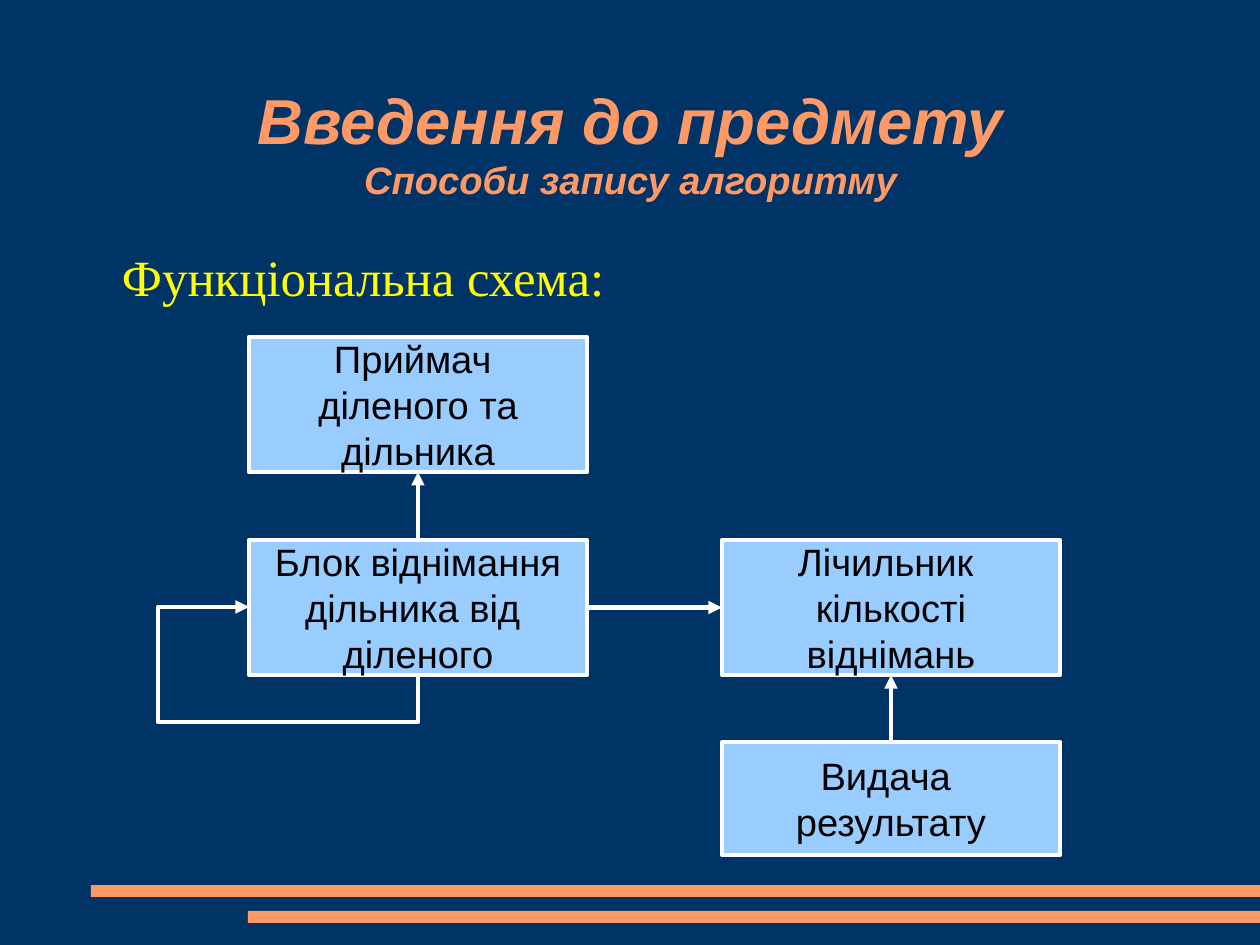
from pptx import Presentation, util as u
from pptx.dml.color import RGBColor
from pptx.enum import shapes as es, text as et
from pptx.oxml.ns import qn
from lxml import etree

PX = 8000
SIZE = (1260, 945)
NAVY, PEACH, SKY = "003366", "FF9966", "99CCFF"
WHITE, BLACK, GOLD = "FFFFFF", "000000", "FFFF00"

TITLE = [("Введення до предмету", 40), ("Способи запису алгоритму", 24)]
HEAD = "Функціональна схема:"
BARS = [(91, 885), (248, 911)]
WIDE = 338
BOXES = {
    "input": (249, 337, 135, ["Приймач ", "діленого та", "дільника"]),
    "minus": (249, 540, 135, ["Блок віднімання", "дільника від ", "діленого"]),
    "count": (722, 540, 135, ["Лічильник ", "кількості", "віднімань"]),
    "output": (722, 742, 113, ["Видача ", "результату"]),
}
LINKS = [("minus", 0, "input", 2), ("minus", 3, "count", 1),
         ("output", 0, "count", 2)]
LOOP = (158, 722)

deck = Presentation()
deck.slide_width, deck.slide_height = [n * PX for n in SIZE]
slide = deck.slides.add_slide(deck.slide_layouts[6])
parts = slide.shapes


def tint(code):
    return RGBColor.from_string(code)


def paint(fill, code):
    fill.solid()
    fill.fore_color.rgb = tint(code)


def write(para, words, size, code, face="Arial", bold=False):
    run = para.add_run()
    run.text = words
    font = run.font
    font.name, font.size = face, u.Pt(size)
    font.bold = font.italic = bold
    font.color.rgb = tint(code)


def frame(shape, anchor, side=0, edge=0):
    area = shape.text_frame
    area.word_wrap = True
    area.vertical_anchor = anchor
    area.margin_left = area.margin_right = side * PX
    area.margin_top = area.margin_bottom = edge * PX
    return area


def label(*place):
    return parts.add_textbox(*[n * PX for n in place])


def block(left, top, wide, high, code):
    shape = parts.add_shape(es.MSO_SHAPE.RECTANGLE,
                            *[n * PX for n in (left, top, wide, high)])
    shape.shadow.inherit = False
    paint(shape.fill, code)
    shape.line.fill.background()
    return shape


def stroke(shape, arrow=False):
    paint(shape.line.fill, WHITE)
    shape.line.width = u.Pt(2.83)
    if arrow:
        line = shape.line._get_or_add_ln()
        etree.SubElement(line, qn("a:tailEnd"), type="triangle")


paint(slide.background.fill, NAVY)
for left, top in BARS:
    block(left, top, SIZE[0] - left, 12, PEACH)

area = frame(label(122, 246, 1066, 70), et.MSO_ANCHOR.TOP)
write(area.paragraphs[0], HEAD, 32, GOLD, "Times New Roman")

area = frame(label(93, 35, 1075, 213), et.MSO_ANCHOR.MIDDLE)
para = area.paragraphs[0]
para.alignment = et.PP_ALIGN.CENTER
for i, (words, size) in enumerate(TITLE):
    if i:
        para.add_line_break()
    write(para, words, size, PEACH, bold=True)

nodes = {}
for name, (left, top, high, rows) in BOXES.items():
    node = nodes[name] = block(left, top, WIDE, high, SKY)
    stroke(node)
    area = frame(node, et.MSO_ANCHOR.MIDDLE, 14, 8)
    for i, words in enumerate(rows):
        para = area.add_paragraph() if i else area.paragraphs[0]
        para.alignment = et.PP_ALIGN.CENTER
        write(para, words, 24, BLACK)

for start, out, end, into in LINKS:
    link = parts.add_connector(es.MSO_CONNECTOR.STRAIGHT, 0, 0, 0, 0)
    link.begin_connect(nodes[start], out)
    link.end_connect(nodes[end], into)
    stroke(link, True)
    etree.SubElement(link._element.spPr, qn("a:effectLst"))

left, top, high, rows = BOXES["minus"]
mid, half = left + WIDE // 2, top + high // 2
far, low = LOOP
path = parts.build_freeform(mid, top + high, scale=PX)
path.add_line_segments([(mid, low), (far, low), (far, half), (left, half)],
                       close=False)
loop = path.convert_to_shape()
loop.shadow.inherit = False
loop.fill.background()
stroke(loop, True)

deck.save("out.pptx")
